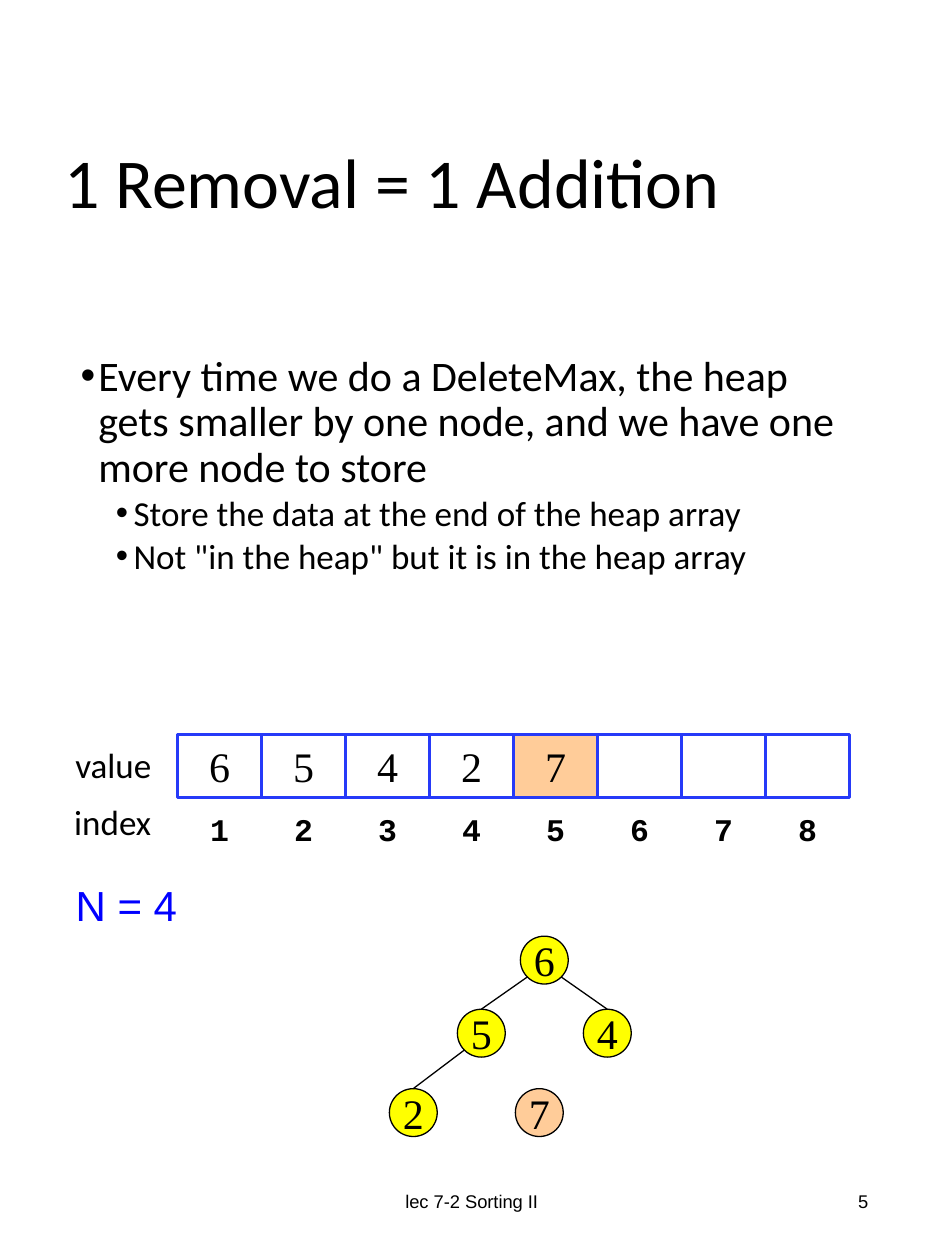
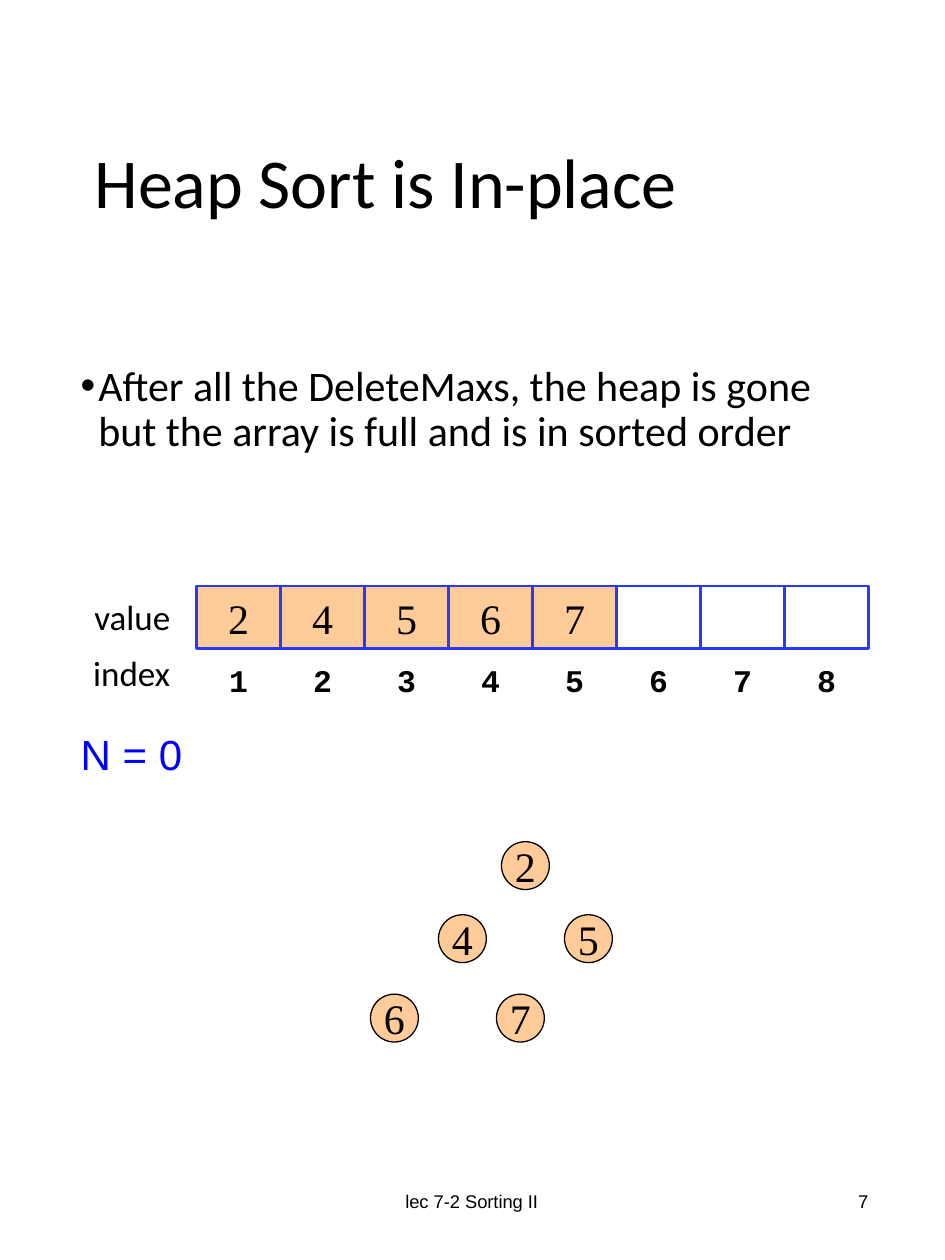
from lxml.etree import SubElement
from pptx import Presentation
from pptx.dml.color import RGBColor
from pptx.enum.shapes import MSO_CONNECTOR as Link, MSO_SHAPE as Form
from pptx.enum.text import MSO_ANCHOR as Anchor, PP_ALIGN as Align
from pptx.oxml.ns import qn
from pptx.util import Inches, Pt

BLACK = RGBColor(0x00, 0x00, 0x00)
BLUE = RGBColor(0x00, 0x00, 0xFF)
EDGE = RGBColor(0x26, 0x3A, 0xF8)
PEACH = RGBColor(0xFF, 0xCC, 0x99)
YELLOW = RGBColor(0xFF, 0xFF, 0x00)

# The slide is a grid of 75 columns by 100 rows.
COLS, ROWS = 75, 100
SLOTS = 8
CELL_W, CELL_H = 20 / 3, 5
NODE = 3.8
# Node places in level order, counted from the root.
TREE = [(0, 0), (-5, 5.8), (5, 5.8), (-10.4, 12.1), (-0.4, 12.1)]


class Deck:
    """Holds the style and the slide being drawn."""

    def __init__(self):
        self.prs = Presentation()
        self.prs.slide_width = Inches(7.5)
        self.prs.slide_height = Inches(10)
        self.col = self.prs.slide_width / COLS
        self.row = self.prs.slide_height / ROWS

    def grid(self, *nums):
        """Turn columns and rows, in turn, into lengths."""
        return [round(num * (self.row if i % 2 else self.col))
                for i, num in enumerate(nums)]

    def page(self, num):
        self.slide = self.prs.slides.add_slide(self.prs.slide_layouts[6])
        self.shapes = self.slide.shapes
        self.text((24.8, 92.7, 25.3, 5.3), "lec 7-2 Sorting II", 10.5,
                  align=Align.CENTER)
        self.text((53, 92.7, 16.9, 5.3), str(num), 10.5, align=Align.RIGHT,
                  pad=0.1)

    def style(self, para, size, face, color=BLACK, bold=False):
        for run in para.runs:
            font = run.font
            font.size, font.name, font.bold = Pt(size), face, bold
            font.color.rgb = color

    def frame(self, shape, wrap=True, anchor=Anchor.MIDDLE, pad=0.08):
        frame = shape.text_frame
        frame.word_wrap = wrap
        frame.vertical_anchor = anchor
        frame.margin_left = frame.margin_right = Inches(pad)
        frame.margin_top = frame.margin_bottom = Inches(0.05)
        return frame

    def text(self, box, words, size, face="Arial", color=BLACK, bold=False,
             align=Align.LEFT, **kind):
        frame = self.frame(self.shapes.add_textbox(*self.grid(*box)), **kind)
        frame.text = words
        para = frame.paragraphs[0]
        para.alignment = align
        self.style(para, size, face, color, bold)
        return para

    def title(self, left, words):
        para = self.text((left, 5.1, 67.1, 19.3), words, 40, "Calibri")
        para.line_spacing = 0.9

    def body(self, top, high, items):
        """Write bullets; each item is a level and its words."""
        box = self.shapes.add_textbox(*self.grid(5.6, top, 61.9, high))
        frame = self.frame(box, anchor=Anchor.TOP)
        for i, (level, words) in enumerate(items):
            para = frame.add_paragraph() if i else frame.paragraphs[0]
            para.text = words
            para.level = level
            props = para._p.get_or_add_pPr()
            props.set("marL", str(Inches((0.14, 0.42)[level])))
            props.set("indent", str(Inches(-0.14)))
            SubElement(props, qn("a:buFont")).set("typeface", "Arial")
            SubElement(props, qn("a:buChar")).set("char", "•")
            para.line_spacing = 0.9
            para.space_before = Pt((5.7, 2.8)[level] if i else 0)
            self.style(para, (24, 20)[level], "Calibri")

    def shape(self, form, box, words, fill, line, width):
        shape = self.shapes.add_shape(form, *self.grid(*box))
        shape.shadow.inherit = False
        if fill is None:
            shape.fill.background()
        else:
            shape.fill.solid()
            shape.fill.fore_color.rgb = fill
        shape.line.color.rgb = line
        shape.line.width = Pt(width)
        frame = self.frame(shape, wrap=False)
        frame.text = words
        para = frame.paragraphs[0]
        para.alignment = Align.CENTER
        self.style(para, 24, "Times New Roman")

    def line(self, *ends):
        line = self.shapes.add_connector(Link.STRAIGHT, *self.grid(*ends))
        line.line.color.rgb = BLACK
        line.line.width = Pt(0.75)
        SubElement(line._element.spPr, qn("a:effectLst"))

    def array(self, left, top, vals, heap):
        """Draw the slots; those past the heap's size hold sorted values."""
        for dx, dy, wide, name in ((-9.6, 0.2, 9, "value"),
                                   (-9.8, 4.7, 9.3, "index")):
            self.text((left + dx, top + dy, wide, 4.4), name, 20, "Calibri",
                      align=Align.CENTER, wrap=False)
        for i in range(SLOTS):
            x = left + i * CELL_W
            done = heap <= i < len(vals)
            self.shape(Form.RECTANGLE, (x, top, CELL_W, CELL_H),
                       vals[i:i + 1], PEACH if done else None, EDGE, 1.5)
            self.text((x, top + CELL_H, CELL_W, CELL_H), str(i + 1), 18,
                      "Courier New", bold=True, align=Align.CENTER, wrap=False)

    def count(self, left, top, heap):
        self.text((left, top, 10.1, 5), f"N = {heap}", 24, color=BLUE,
                  anchor=Anchor.TOP, wrap=False)

    def tree(self, left, top, vals, heap):
        """Draw the nodes, and join those still in the heap."""
        spots = [(left + dx, top + dy) for dx, dy in TREE]
        for i, (x, y) in enumerate(spots):
            self.shape(Form.OVAL, (x, y, NODE, NODE), vals[i],
                       YELLOW if i < heap else PEACH, BLACK, 0.75)
            if 0 < i < heap:
                px, py = spots[(i - 1) // 2]
                side = 0.15 if i % 2 else 0.85
                self.line(px + side * NODE, py + 0.85 * NODE, x + NODE / 2, y)


def main():
    deck = Deck()

    vals, heap = "65427", 4
    deck.page(5)
    deck.title(4.3, "1 Removal = 1 Addition")
    deck.body(27.7, 30.5, [
        (0, "Every time we do a DeleteMax, the heap gets smaller by one node, "
            "and we have one more node to store"),
        (1, "Store the data at the end of the heap array"),
        (1, 'Not "in the heap" but it is in the heap array')])
    deck.count(5.2, 69.3, heap)
    deck.array(14.1, 58.3, vals, heap)
    deck.tree(41.3, 74.3, vals, heap)

    vals, heap = "24567", 0
    deck.page(7)
    deck.title(6.7, "Heap Sort is In-place")
    deck.body(28.5, 17.1, [
        (0, "After all the DeleteMaxs, the heap is gone but the array is full "
            "and is in sorted order")])
    deck.count(5.6, 57.3, heap)
    deck.array(15.6, 46.5, vals, heap)
    deck.tree(39.8, 66.8, vals, heap)

    deck.prs.save("out.pptx")


if __name__ == "__main__":
    main()
